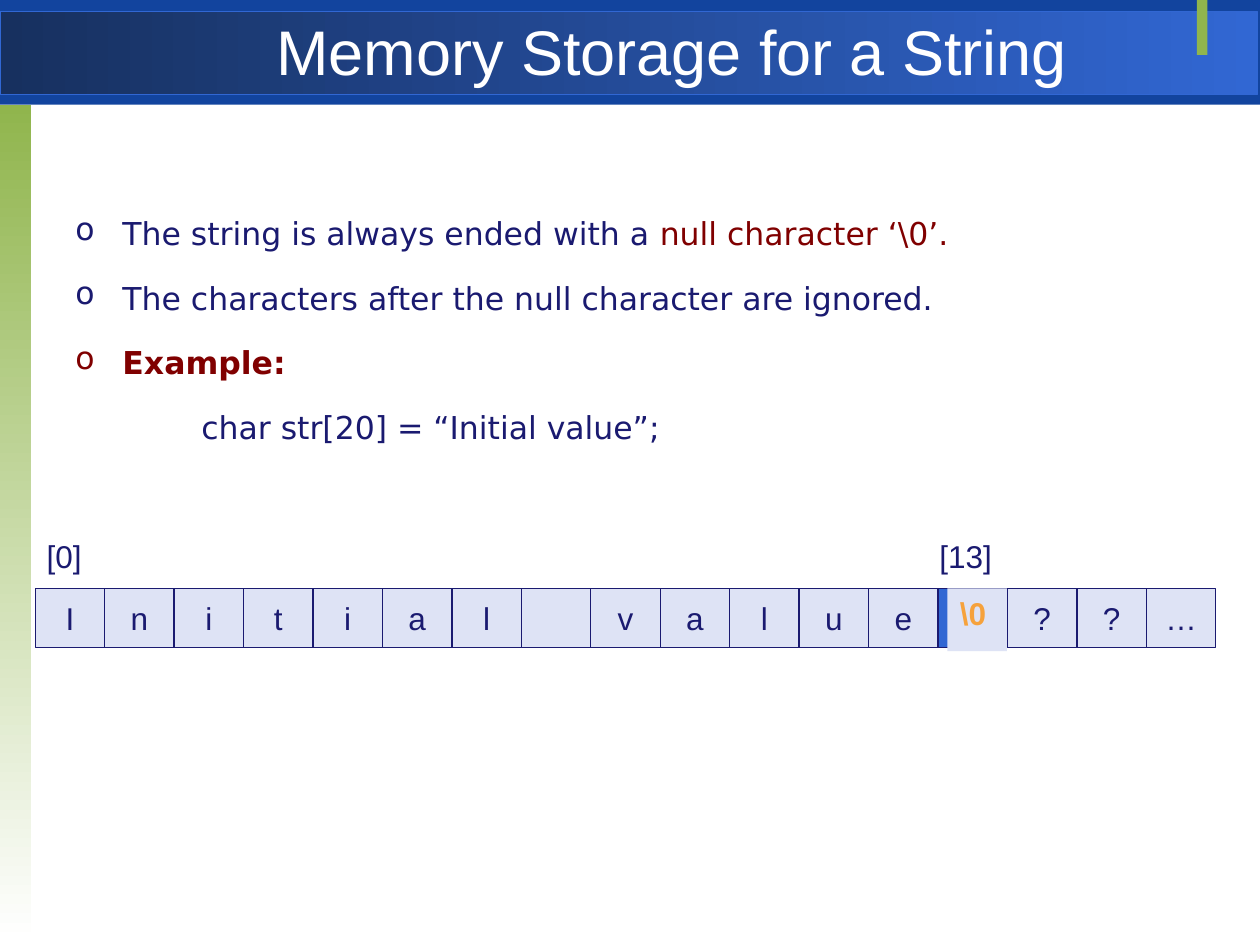
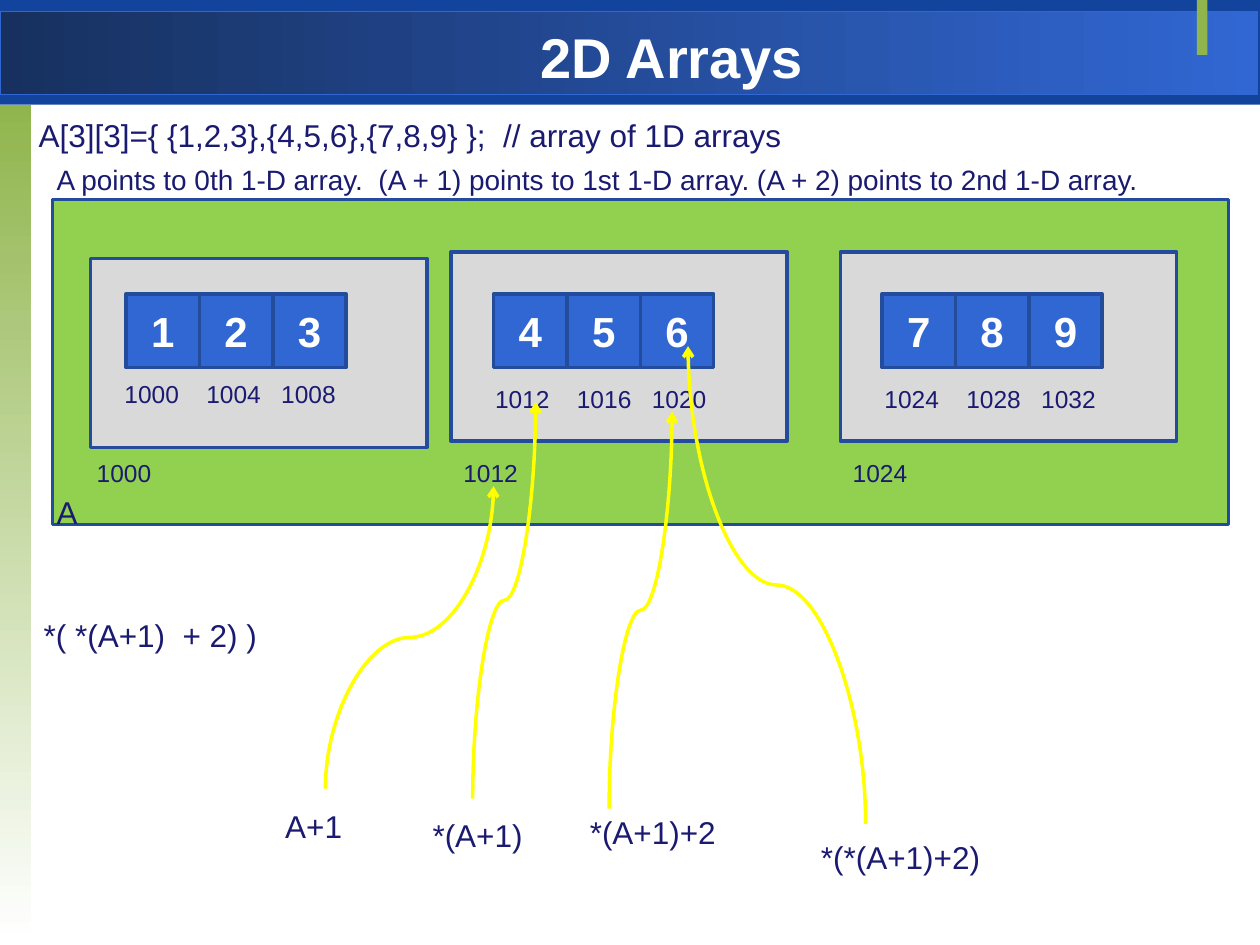
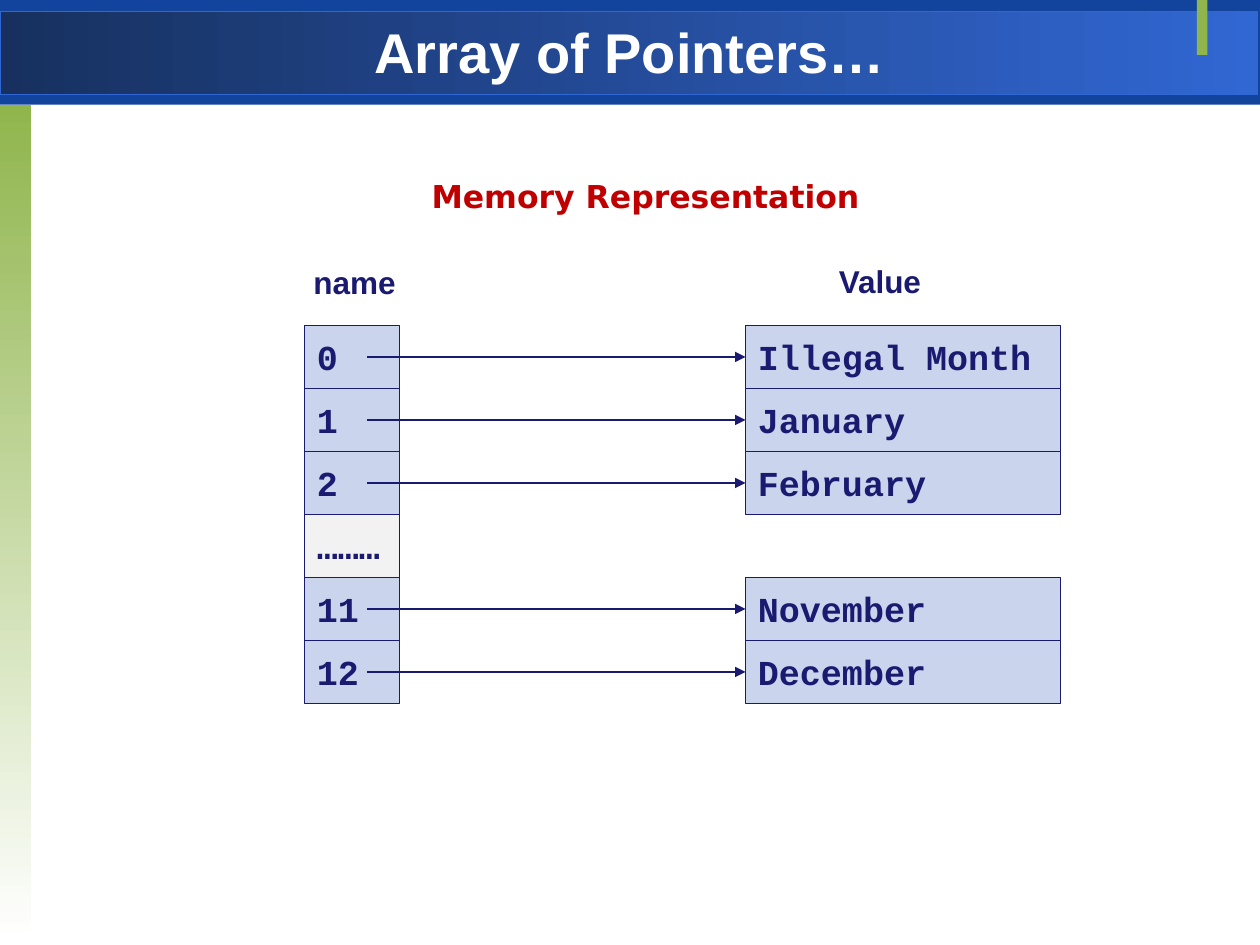
from dataclasses import dataclass
from typing import NamedTuple, Optional

from lxml import etree
from pptx import Presentation
from pptx.dml.color import RGBColor
from pptx.enum import shapes, text
from pptx.oxml import ns
from pptx.util import Cm, Pt


@dataclass(frozen=True)
class Theme:
    navy: str = "1A1A70"
    white: str = "FFFFFF"
    band: str = "12449E"
    dark: str = "17305F"
    blue: str = "3167D3"
    edge: str = "244C9C"
    leaf: str = "90B54D"
    lime: str = "92D050"
    gray: str = "D9D9D9"
    pale: str = "DEE3F5"
    mist: str = "CAD4ED"
    light: str = "F2F2F2"
    maroon: str = "800000"
    red: str = "C00000"
    orange: str = "F6A23C"
    yellow: str = "FFFF00"
    sans: str = "Arial"
    wide: str = "DejaVu Sans"
    mono: str = "Courier New"
    head: int = 36
    title: int = 32
    digit: int = 24
    code: int = 20
    body: int = 18
    note: int = 16
    small: int = 14
    thin: float = 0.75
    thick: float = 2


T = Theme()
LEFT, MID = text.PP_ALIGN.LEFT, text.PP_ALIGN.CENTER
TOP, CENTER = text.MSO_ANCHOR.TOP, text.MSO_ANCHOR.MIDDLE


class Box(NamedTuple):
    """Left, top, width and height in centimetres."""
    x: float
    y: float
    w: float
    h: float

    def emu(self) -> list:
        return [Cm(v) for v in self]


class Trio(NamedTuple):
    """One inner array: its first value and address, and where its parts go."""
    first: int
    base: int
    frame: Box
    cell: float
    addr: tuple
    label: float


class Bend(NamedTuple):
    """A pointer expression and the curved arrow that starts above it."""
    name: str
    at: tuple
    start: tuple
    end: tuple


def rgb(code: str) -> RGBColor:
    return RGBColor.from_string(code)


def sub(node, tag: str, **attrs: str):
    return etree.SubElement(node, ns.qn(tag), **attrs)


def put(par, words: str, *, size: float = T.body, color: str = T.navy,
        font: str = T.sans, bold: bool = False, align=LEFT) -> None:
    """Add a formatted run to a paragraph."""
    par.alignment = align
    run = par.add_run()
    run.text = words
    run.font.size, run.font.name, run.font.bold = Pt(size), font, bold
    run.font.color.rgb = rgb(color)


def label(slide, box: Box, words: str, *, wrap: bool = True,
          top: float = 0.13, tabs: tuple = (), **style) -> None:
    frame = slide.shapes.add_textbox(*box.emu()).text_frame
    frame.word_wrap = wrap
    frame.margin_top = Cm(top)
    par = frame.paragraphs[0]
    put(par, words, **style)
    if tabs:
        stops = sub(par._p.get_or_add_pPr(), "a:tabLst")
        for stop in tabs:
            sub(stops, "a:tab", pos=str(Cm(stop)), algn="l")


def block(slide, box: Box, fill: str, *, words: str = "", fade: str = "",
          angle: int = 0, line: Optional[str] = None, width: float = T.thin,
          anchor=CENTER, **style) -> None:
    """Draw a rectangle, with a gradient if fade is given."""
    rect = slide.shapes.add_shape(shapes.MSO_SHAPE.RECTANGLE, *box.emu())
    rect.shadow.inherit = False
    if fade:
        rect.fill.gradient()
        rect.fill.gradient_angle = angle
        for stop, color in zip(rect.fill.gradient_stops, (fill, fade)):
            stop.color.rgb = rgb(color)
    else:
        rect.fill.solid()
        rect.fill.fore_color.rgb = rgb(fill)
    if line:
        rect.line.color.rgb = rgb(line)
        rect.line.width = Pt(width)
    else:
        rect.line.fill.background()
    if words:
        rect.text_frame.word_wrap = True
        rect.text_frame.vertical_anchor = anchor
        put(rect.text_frame.paragraphs[0], words, **style)


def arrow(slide, start: tuple, end: tuple, *, color: str, width: float,
          tip: str, curved: bool = False) -> None:
    """Draw an arrow; a curved one leaves and arrives vertically."""
    kind = shapes.MSO_CONNECTOR.STRAIGHT
    if curved:
        kind = shapes.MSO_CONNECTOR.CURVE
        cx, cy = ((a + b) / 2 for a, b in zip(start, end))
        start, end = ((cx - y + cy, cy + x - cx) for x, y in (start, end))
    link = slide.shapes.add_connector(kind, *(Cm(v) for v in (*start, *end)))
    link.line.color.rgb = rgb(color)
    link.line.width = Pt(width)
    props = link._element.spPr
    if curved:
        props.find(ns.qn("a:xfrm")).set("rot", str(270 * 60000))
    sub(props.find(ns.qn("a:ln")), "a:tailEnd", type=tip)
    sub(props, "a:effectLst")


def page(deck):
    """Add a slide with the shared bands."""
    slide = deck.slides.add_slide(deck.slide_layouts[6])
    block(slide, Box(0, 0, 25.4, 2.11), T.band)
    block(slide, Box(0, 0.23, 25.35, 1.68), T.dark, fade=T.blue, line=T.blue)
    block(slide, Box(0, 2.11, 0.63, 16.87), T.leaf, fade=T.white, angle=270)
    block(slide, Box(24.13, 0, 0.21, 1.11), T.leaf)
    return slide


def title(slide, box: Box, words: str, *, size: float = T.title,
          bold: bool = True, top: float = 0.25) -> None:
    label(slide, box, words, size=size, bold=bold, top=top,
          color=T.white, align=MID)


def item(par, parts: list, bullet: bool = True) -> None:
    """Fill a body paragraph from (words, colour, bold) parts."""
    par.line_spacing = 1.5
    par.space_before = Pt(4.5)
    props = par._p.get_or_add_pPr()
    props.set("marL", str(Cm(0.95 if bullet else 2.54)))
    props.set("indent", str(Cm(-0.95 if bullet else 0)))
    if bullet:
        sub(props, "a:buChar", char="o")
    for words, color, bold in parts:
        put(par, words, color=color, bold=bold, font=T.wide)


def storage(deck) -> None:
    slide = page(deck)
    title(slide, Box(4.02, 0, 19.05, 1.48), "Memory Storage for a String",
          size=T.head, bold=False)
    frame = slide.shapes.add_textbox(*Box(1.27, 3.81, 22.86, 5.72).emu()).text_frame
    frame.word_wrap = True
    items = [
        [("The string is always ended with a ", T.navy, False),
         ("null character ‘\\0’.", T.maroon, False)],
        [("The characters after the null character are ignored.", T.navy, False)],
        [("Example:", T.maroon, True)],
    ]
    for i, parts in enumerate(items):
        item(frame.add_paragraph() if i else frame.paragraphs[0], parts)
    item(frame.add_paragraph(),
         [("char str[20] = “Initial value”;", T.navy, False)], bullet=False)

    left, top, step, high = 0.71, 11.86, 1.4, 1.19
    null = len("Initial value")
    block(slide, Box(left + null * step, top, step, high), T.blue, line=T.navy)
    for i, char in enumerate("Initial value\0??…"):
        if i != null:
            block(slide, Box(left + i * step, top, step, high), T.pale,
                  line=T.navy, words=char.strip(), align=MID)
    block(slide, Box(19.1, top, 1.2, 1.27), T.pale, words="\\0",
          color=T.orange, bold=True, anchor=TOP)
    label(slide, Box(0.69, 10.69, 1.6, 1.27), "[0]")
    label(slide, Box(18.69, 10.69, 2.21, 1.27), "[13]")


TRIOS = [
    Trio(1, 1000, Box(1.83, 5.21, 6.78, 3.81), 2.54, (2.26, 7.52), 1.7),
    Trio(4, 1012, Box(9.09, 5.08, 6.78, 3.81), 9.95, (9.73, 7.62), 9.09),
    Trio(7, 1024, Box(16.94, 5.08, 6.78, 3.81), 17.78, (17.58, 7.62), 16.94),
]
BENDS = [
    Bend("A+1", (5.5, 16.13), (6.56, 15.9), (9.95, 9.8)),
    Bend("*(A+1)", (8.47, 16.33), (9.53, 16.1), (10.8, 8.1)),
    Bend("*(A+1)+2", (11.64, 16.26), (12.28, 16.3), (13.55, 8.3)),
    Bend("*(*(A+1)+2)", (16.3, 16.76), (17.45, 16.61), (13.87, 6.98)),
]


def grid(deck) -> None:
    slide = page(deck)
    side = 1.48
    block(slide, Box(1.06, 4.02, 23.71, 6.56), T.lime, line=T.edge, width=T.thick)
    title(slide, Box(4.02, 0.21, 19.05, 1.48), "2D Arrays")
    label(slide, Box(0.53, 2.21, 20.96, 1.03),
          "A[3][3]={ {1,2,3},{4,5,6},{7,8,9} };  // array of 1D arrays")
    for trio in TRIOS:
        block(slide, trio.frame, T.gray, line=T.edge, width=T.thick)
        for i in range(3):
            block(slide, Box(trio.cell + i * side, 5.93, side, side), T.blue,
                  line=T.edge, width=T.thick, words=str(trio.first + i),
                  size=T.digit, color=T.white, bold=True, align=MID)
        label(slide, Box(*trio.addr, 5.29, 0.85),
              "\t".join(str(trio.base + 4 * i) for i in range(3)),
              size=T.small, tabs=(1.65, 3.16))
        label(slide, Box(trio.label, 9.1, 5.29, 0.85), str(trio.base), size=T.small)
    label(slide, Box(0.89, 3.15, 24.51, 0.93),
          "A points to 0th 1-D array.  (A + 1) points to 1st 1-D array. "
          "(A + 2) points to 2nd 1-D array.", size=T.note)
    label(slide, Box(0.89, 9.81, 1.85, 1.03), "A")
    label(slide, Box(0.63, 12.28, 20.53, 1.03), "*( *(A+1)  + 2) )")
    for bend in BENDS:
        label(slide, Box(*bend.at, 3.81, 1.03), bend.name)
        arrow(slide, bend.start, bend.end, color=T.yellow, width=T.thick,
              tip="arrow", curved=True)


MONTHS = [("0", "Illegal Month"), ("1", "January"), ("2", "February"),
          ("………", ""), ("11", "November"), ("12", "December")]


def months(deck) -> None:
    slide = page(deck)
    title(slide, Box(1.27, 0.18, 22.86, 1.57), "Array of Pointers…", top=0.17)
    label(slide, Box(0.63, 3.43, 24.77, 1.03), "Memory Representation",
          font=T.wide, color=T.red, bold=True, align=MID)
    label(slide, Box(6.07, 5.18, 2.18, 1.03), "name", bold=True, wrap=False)
    label(slide, Box(16.66, 5.16, 2.18, 1.03), "Value", bold=True, wrap=False)
    top, high, right = 6.56, 1.27, 15.03
    style = dict(line=T.navy, size=T.code, font=T.mono, bold=True)
    for i, (key, month) in enumerate(MONTHS):
        y = top + i * high
        block(slide, Box(6.14, y, 1.91, high), T.mist if month else T.light,
              words=key, **style)
        if month:
            block(slide, Box(right, y, 6.35, high), T.mist, words=month, **style)
            mid = y + high / 2
            arrow(slide, (7.4, mid), (right, mid), color=T.navy,
                  width=T.thin, tip="triangle")


def main() -> None:
    deck = Presentation()
    deck.slide_width, deck.slide_height = Cm(25.4), Cm(19.05)
    for draw in (storage, grid, months):
        draw(deck)
    deck.save("out.pptx")


if __name__ == "__main__":
    main()
